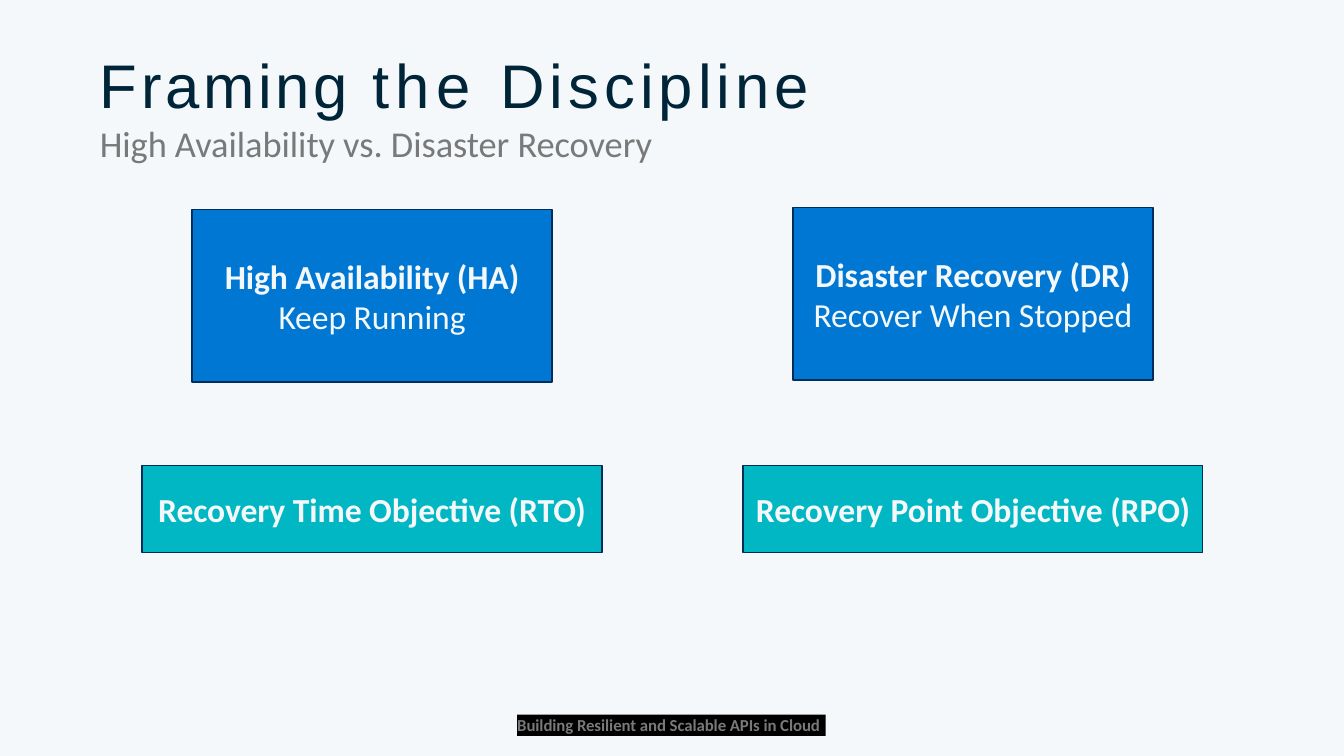
from dataclasses import dataclass

from pptx import Presentation
from pptx.dml.color import RGBColor
from pptx.enum.shapes import MSO_SHAPE
from pptx.enum.text import MSO_ANCHOR, PP_ALIGN
from pptx.util import Inches, Pt


@dataclass(frozen=True)
class Theme:
    background: str = "F4F8FA"
    title: str = "002539"
    muted: str = "797979"
    light: str = "F4F8FA"
    concept: str = "0078D3"
    objective: str = "00B7C3"
    border: str = "002E58"
    footer: str = "000000"
    title_font: str = "Arial"
    body_font: str = "Calibri"
    title_size: float = 44
    subtitle_size: float = 26
    card_size: float = 24
    footer_size: float = 12


THEME = Theme()


def rgb(value):
    return RGBColor.from_string(value)


def set_frame(tf, anchor, wrap=True):
    values = {"margin_left": 0, "margin_top": 0, "margin_right": 0,
              "margin_bottom": 0, "vertical_anchor": anchor, "word_wrap": wrap}
    for name, value in values.items():
        setattr(tf, name, value)


def add_run(p, text, font, size, color, bold=False, spacing=0):
    r = p.add_run()
    r.text = text
    for name, value in {"name": font, "size": Pt(size), "bold": bold}.items():
        setattr(r.font, name, value)
    r.font.color.rgb = rgb(color)
    if spacing:
        r._r.get_or_add_rPr().set("spc", str(round(spacing * 100)))


def add_box(s, box, fill, border=None):
    sp = s.shapes.add_shape(MSO_SHAPE.RECTANGLE, *map(Inches, box))
    sp.shadow.inherit = False
    sp.fill.solid()
    sp.fill.fore_color.rgb = rgb(fill)
    if border:
        sp.line.color.rgb = rgb(border)
        sp.line.width = Pt(1)
    else:
        sp.line.fill.background()
    return sp


def add_heading(s, box, title_parts, subtitle):
    tf = s.shapes.add_textbox(*map(Inches, box)).text_frame
    set_frame(tf, MSO_ANCHOR.TOP)
    for text, spacing in title_parts:
        add_run(tf.paragraphs[0], text, THEME.title_font, THEME.title_size,
                THEME.title, spacing=spacing)
    add_run(tf.add_paragraph(), subtitle, THEME.body_font,
            THEME.subtitle_size, THEME.muted, spacing=-0.05)


def add_card(s, box, fill, heading, detail=None):
    tf = add_box(s, box, fill, THEME.border).text_frame
    set_frame(tf, MSO_ANCHOR.MIDDLE)
    p = tf.paragraphs[0]
    p.alignment = PP_ALIGN.CENTER
    add_run(p, heading, THEME.body_font, THEME.card_size, THEME.light,
            bold=True, spacing=-0.05)
    if detail:
        p = tf.add_paragraph()
        p.alignment = PP_ALIGN.CENTER
        add_run(p, detail, THEME.body_font, THEME.card_size, THEME.light,
                spacing=-0.05)


def add_column(s, box, concept_top, concept, detail, objective):
    left, top, width, height = box
    concept_width, concept_height, objective_height = 3.57, 1.71, 0.86
    add_card(s, (left + (width - concept_width) / 2, concept_top,
                 concept_width, concept_height), THEME.concept, concept, detail)
    add_card(s, (left, top + height - objective_height, width,
                 objective_height), THEME.objective, objective)


def add_footer(s, box, text):
    tf = add_box(s, box, THEME.footer).text_frame
    set_frame(tf, MSO_ANCHOR.MIDDLE)
    p = tf.paragraphs[0]
    p.alignment = PP_ALIGN.LEFT
    add_run(p, text, THEME.body_font, THEME.footer_size, THEME.muted,
            bold=True, spacing=-0.05)


def main():
    prs = Presentation()
    prs.slide_width, prs.slide_height = Inches(13.33), Inches(7.5)
    s = prs.slides.add_slide(prs.slide_layouts[6])
    s.background.fill.solid()
    s.background.fill.fore_color.rgb = rgb(THEME.background)

    add_heading(s, (0.99, 0.47, 11.36, 1.13),
                [("Framing ", 2.6), ("the ", 4.5), ("Discipline", 3.6)],
                "High Availability vs. Disaster Recovery")
    columns = [
        (1.41, 2.08, "High Availability (HA)", "Keep Running",
         "Recovery Time Objective (RTO)"),
        (7.37, 2.06, "Disaster Recovery (DR)", "Recover When Stopped",
         "Recovery Point Objective (RPO)"),
    ]
    for left, concept_top, *texts in columns:
        add_column(s, (left, 2.06, 4.56, 3.42), concept_top, *texts)
    add_footer(s, (5.13, 7.09, 3.06, 0.21),
               "Building Resilient and Scalable APIs in Cloud")
    prs.save("out.pptx")


if __name__ == "__main__":
    main()
